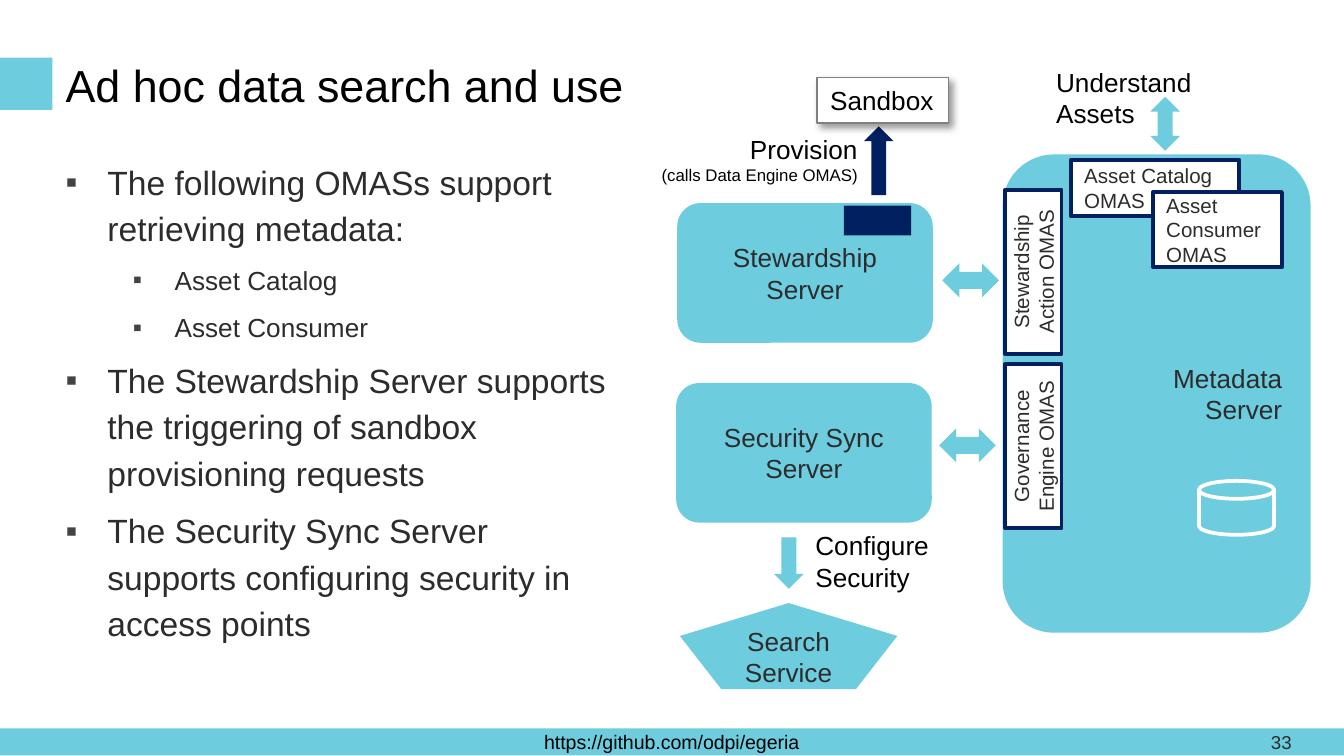
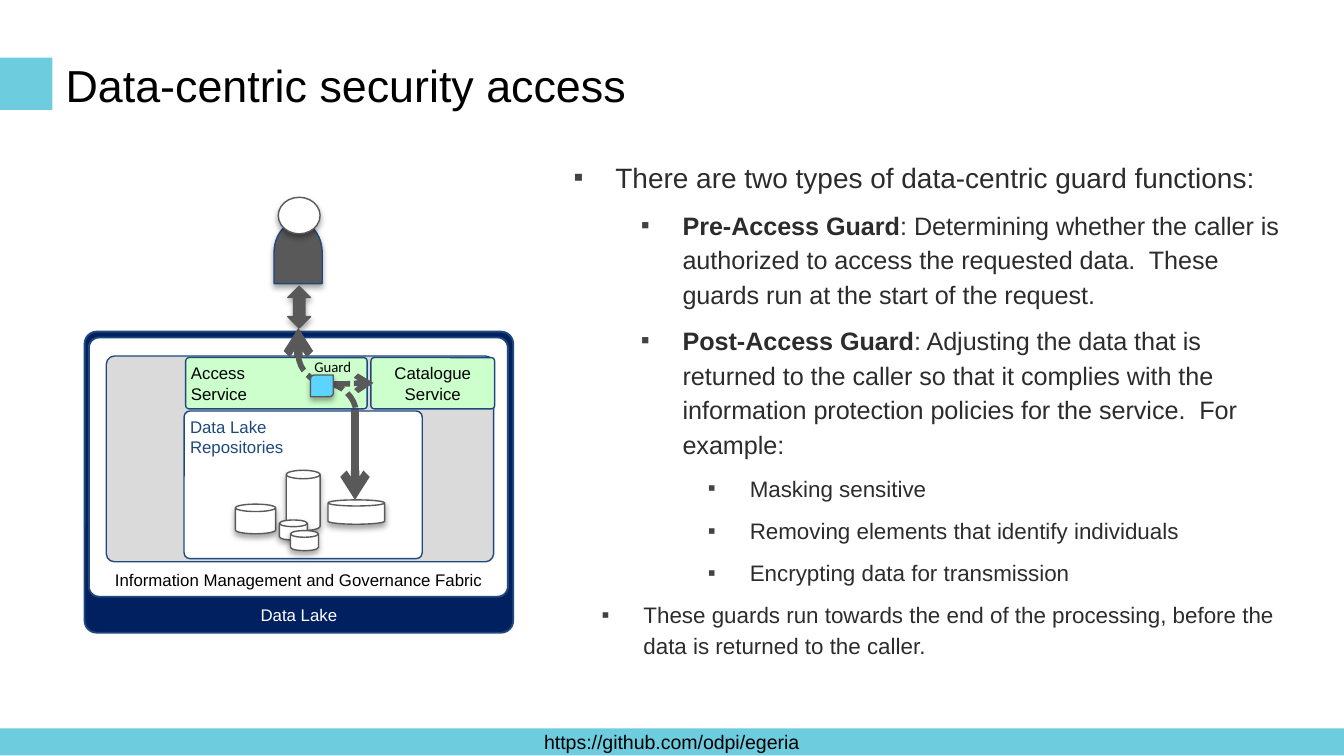
from lxml import etree
from pptx import Presentation
from pptx.dml.color import RGBColor
from pptx.enum.dml import MSO_LINE
from pptx.enum.shapes import MSO_CONNECTOR, MSO_SHAPE
from pptx.enum.text import MSO_ANCHOR, MSO_AUTO_SIZE, PP_ALIGN
from pptx.oxml.ns import qn
from pptx.util import Cm, Pt

LEFT, MID, RIGHT = PP_ALIGN.LEFT, PP_ALIGN.CENTER, PP_ALIGN.RIGHT
TOP, CENTER, BASE = MSO_ANCHOR.TOP, MSO_ANCHOR.MIDDLE, MSO_ANCHOR.BOTTOM
RECT, ROUND = MSO_SHAPE.RECTANGLE, MSO_SHAPE.ROUNDED_RECTANGLE
DISK, CAN = MSO_SHAPE.FLOWCHART_MAGNETIC_DISK, MSO_SHAPE.CAN
OVAL, DELAY = MSO_SHAPE.OVAL, MSO_SHAPE.FLOWCHART_DELAY
PENTA, DIAG = MSO_SHAPE.REGULAR_PENTAGON, MSO_SHAPE.ROUND_2_DIAG_RECTANGLE
SIDES, POLES = MSO_SHAPE.LEFT_RIGHT_ARROW, MSO_SHAPE.UP_DOWN_ARROW
UP, DOWN = MSO_SHAPE.UP_ARROW, MSO_SHAPE.DOWN_ARROW
ELBOW, CURVE = MSO_CONNECTOR.ELBOW, MSO_CONNECTOR.CURVE
DASH = MSO_LINE.SQUARE_DOT
FIXED, GROW = MSO_AUTO_SIZE.NONE, MSO_AUTO_SIZE.SHAPE_TO_FIT_TEXT

FONT = "Arial"
COLORS = {
    "teal": "6DCCDE", "navy": "002060", "white": "FFFFFF", "black": "000000",
    "ink": "2C2C2C", "bullet": "434343", "gray": "595959", "edge": "808080",
    "blue": "1F497D", "green": "CCFFCC", "sky": "5DD4FF",
}
INSET = (0.25, 0.13)
TIGHT = (0.08, 0.08)
SOFT = (35, 3.1, 1.8, 90)
HARD = (40, 4, 3, 45)


def color(name):
    return RGBColor.from_string(COLORS[name])


def add(parent, tag, **attrs):
    node = etree.SubElement(parent, qn(tag))
    for key, value in attrs.items():
        node.set(key, str(value))
    return node


class Deck:
    def __init__(self):
        self.prs = Presentation()
        self.prs.slide_width, self.prs.slide_height = Cm(25.4), Cm(14.29)
        self.slide = None

    def page(self, title):
        self.slide = self.prs.slides.add_slide(self.prs.slide_layouts[1])
        band = self.box(RECT, (0, 13.77, 25.4, 0.51), "teal")
        self.words(band, "https://github.com/odpi/egeria", 10.5, "black")
        self.box(RECT, (0, 1.09, 0.99, 0.99), "teal")
        head = self.slide.shapes.title
        self.place(head, (0.99, 0.79, 23.55, 1.6))
        self.words(head, title, 24, "black", LEFT)

    def place(self, shape, area):
        shape.left, shape.top, shape.width, shape.height = map(Cm, area)

    def words(self, shape, text, size, ink="ink", align=MID, anchor=CENTER,
              pad=INSET, wrap=True, font=FONT):
        frame = shape.text_frame
        frame.text = text
        frame.word_wrap = wrap
        frame.auto_size = FIXED if wrap else GROW
        frame.vertical_anchor = anchor
        frame.margin_left = frame.margin_right = Cm(pad[0])
        frame.margin_top = frame.margin_bottom = Cm(pad[1])
        for para in frame.paragraphs:
            para.alignment = align
            self.style(para, size, ink, font)
        return frame

    def style(self, para, size, ink, font=FONT):
        para.font.name, para.font.size = font, Pt(size)
        para.font.color.rgb = color(ink)

    def label(self, area, text, size, **opts):
        shape = self.slide.shapes.add_textbox(*map(Cm, area))
        return self.words(shape, text, size, **opts)

    def box(self, kind, area, fill, line=None, width=0.75, turn=0, adj=None,
            shade=None, alpha=None):
        shape = self.slide.shapes.add_shape(kind, *map(Cm, area))
        shape.rotation = turn
        if adj is not None:
            shape.adjustments[0] = adj
        shape.fill.solid()
        shape.fill.fore_color.rgb = color(fill)
        if alpha:
            tint = shape.element.spPr.find(qn("a:solidFill"))[0]
            add(tint, "a:alpha", val=alpha * 1000)
        if line:
            shape.line.color.rgb = color(line)
            shape.line.width = Pt(width)
        else:
            shape.line.fill.background()
        shape.shadow.inherit = False
        if shade:
            self.shade(shape, *shade)
        return shape

    def shade(self, shape, alpha, blur, dist, angle):
        effect = shape.element.spPr.find(qn("a:effectLst"))
        outer = add(effect, "a:outerShdw", blurRad=Pt(blur), dist=Pt(dist),
                    dir=angle * 60000, algn="ctr", rotWithShape=0)
        tint = add(outer, "a:srgbClr", val=COLORS["black"])
        add(tint, "a:alpha", val=alpha * 1000)

    def link(self, kind, ends, width, turn=0, adj=None, dash=None, tips=()):
        wire = self.slide.shapes.add_connector(kind, *map(Cm, ends))
        wire.line.color.rgb = color("gray")
        wire.line.width = Pt(width)
        if dash:
            wire.line.dash_style = dash
        props = wire.element.spPr
        for tip in tips:
            add(props.find(qn("a:ln")), tip, type="arrow")
        if turn:
            props.find(qn("a:xfrm")).set("rot", str(turn * 60000))
        if adj:
            guide = props.find(qn("a:prstGeom")).find(qn("a:avLst"))
            add(guide, "a:gd", name="adj1", fmla=f"val {adj}")
        add(props, "a:effectLst")

    def bullets(self, area, items):
        body = self.slide.placeholders[1]
        self.place(body, area)
        frame = body.text_frame
        frame.auto_size, frame.word_wrap = FIXED, True
        frame.vertical_anchor = TOP
        frame.margin_left = frame.margin_right = Cm(0.25)
        frame.margin_top = frame.margin_bottom = Cm(0.25)
        for i, (level, indent, size, lead, text) in enumerate(items):
            para = frame.add_paragraph() if i else frame.paragraphs[0]
            para.level = level
            props = para._p.get_or_add_pPr()
            props.set("marL", str(Cm(indent)))
            props.set("indent", str(Cm(-0.79)))
            add(add(props, "a:buClr"), "a:srgbClr", val=COLORS["bullet"])
            add(props, "a:buFont", typeface=FONT)
            add(props, "a:buChar", char="▪")
            para.alignment, para.line_spacing = LEFT, 1.15
            para.space_before, para.space_after = Pt(0), Pt(6)
            self.style(para, size, "ink")
            if lead:
                run = para.add_run()
                run.text, run.font.bold = lead, True
            para.add_run().text = text

    def save(self):
        self.prs.save("out.pptx")


def search(deck):
    deck.page("Ad hoc data search and use")
    deck.bullets((0.99, 2.69, 11.07, 10.01), [
        (0, 0.79, 18, "", "The following OMASs support retrieving metadata:"),
        (1, 2.06, 14, "", "Asset Catalog"),
        (1, 2.06, 14, "", "Asset Consumer"),
        (0, 0.79, 18, "", "The Stewardship Server supports the triggering of "
                          "sandbox provisioning requests"),
        (0, 0.79, 18, "", "The Security Sync Server supports configuring "
                          "security in access points"),
    ])
    deck.label((23.77, 13.77, 1.52, 0.51), "33", 10, align=LEFT, pad=(0.25, 0))

    meta = deck.box(ROUND, (18.95, 2.92, 5.82, 9.04), "teal")
    deck.words(meta, "Metadata\nServer", 14, align=RIGHT)
    for y, text in ((4.6, "Stewardship Action OMAS"),
                    (7.9, "Governance Engine OMAS")):
        api = deck.box(RECT, (17.98, y, 3.1, 1.07), "white", "navy", 2, 270)
        deck.words(api, text, 11)
    deck.box(DISK, (22.66, 9.09, 1.42, 1.02), "teal", "white", 2)

    for x, y, text in ((12.8, 3.84, "Stewardship\nServer"),
                       (12.78, 7.24, "Security Sync Server")):
        deck.words(deck.box(ROUND, (x, y, 4.83, 2.64), "teal"), text, 14)
    for x, y in ((17.81, 4.98), (17.75, 8.1)):
        deck.box(SIDES, (x, y, 1.07, 0.64), "teal")

    for area, text in (((20.24, 3.02, 3.18, 1.07), "Asset Catalog OMAS"),
                       ((21.79, 3.63, 2.44, 1.42), "Asset Consumer OMAS")):
        api = deck.box(RECT, area, "white", "navy", 2)
        deck.words(api, text, 11, align=LEFT)
    deck.box(POLES, (21.74, 1.83, 0.56, 1.02), "teal")
    deck.box(RECT, (15.95, 3.89, 1.27, 0.56), "navy")
    deck.box(UP, (16.33, 2.39, 0.56, 1.3), "navy")

    for area, text in (((19.71, 1.12, 3.78, 1.45), "Understand Assets"),
                       ((15.16, 9.88, 2.74, 1.45), "Configure Security")):
        deck.label(area, text, 14, ink="black", align=LEFT, anchor=TOP)
    note = deck.label((12.22, 2.39, 4.24, 1.24),
                      "Provision\n(calls Data Engine OMAS)", 14, ink="black",
                      align=RIGHT, anchor=TOP, wrap=False)
    note.paragraphs[1].font.size = Pt(9)

    goal = deck.box(PENTA, (12.85, 11.4, 4.11, 1.63), "teal")
    deck.words(goal, "Search Service", 14)
    deck.box(DOWN, (14.63, 10.16, 0.56, 0.97), "teal")
    sand = deck.box(RECT, (15.44, 1.47, 2.49, 0.86), "white", "edge",
                    shade=HARD)
    deck.words(sand, "Sandbox", 14, "black", LEFT, TOP, wrap=False)


def access(deck):
    deck.page("Data-centric security access")
    deck.bullets((10.59, 2.69, 13.94, 10.01), [
        (0, 0.79, 15, "",
         "There are two types of data-centric guard functions:"),
        (1, 2.06, 13.5, "Pre-Access Guard",
         ": Determining whether the caller is authorized to access the "
         "requested data.  These guards run at the start of the request."),
        (1, 2.06, 13.5, "Post-Access Guard",
         ": Adjusting the data that is returned to the caller so that it "
         "complies with the information protection policies for the "
         "service.  For example:"),
        (2, 3.33, 12, "", "Masking sensitive"),
        (2, 3.33, 12, "", "Removing elements that identify individuals"),
        (2, 3.33, 12, "", "Encrypting data for transmission"),
        (2, 1.32, 12, "", "These guards run towards the end of the "
                          "processing, before the data is returned to the "
                          "caller."),
    ])
    deck.box(DELAY, (5.05, 4.32, 1.17, 0.91), "gray", "blue", turn=270,
             shade=SOFT)
    deck.box(OVAL, (5.26, 3.73, 0.79, 0.69), "white", "gray", shade=SOFT)

    lake = deck.box(ROUND, (1.6, 6.27, 8.1, 5.69), "navy", "blue", 1,
                    adj=0.04)
    deck.words(lake, "Data Lake", 9, "white", anchor=BASE, pad=TIGHT)
    web = deck.box(ROUND, (1.68, 6.38, 7.92, 4.9), "white", "blue", 1,
                   adj=0.04)
    deck.words(web, "Information Management and Governance Fabric", 9,
               "black", anchor=BASE, pad=TIGHT)
    deck.box(ROUND, (2.01, 6.73, 7.32, 3.89), "gray", "blue", adj=0.04,
             alpha=22)
    repo = deck.box(ROUND, (3.48, 7.77, 4.5, 2.79), "white", "blue", adj=0.04)
    deck.words(repo, "Data Lake\nRepositories", 9, "blue", LEFT, TOP, TIGHT)

    for kind, area in ((CAN, (4.45, 9.53, 0.76, 0.56)),
                       (CAN, (5.41, 8.89, 0.64, 1.14)),
                       (CAN, (6.2, 9.45, 1.07, 0.46)),
                       (DISK, (5.28, 9.83, 0.53, 0.38)),
                       (DISK, (5.49, 10.03, 0.53, 0.38))):
        deck.box(kind, area, "white", "gray", shade=SOFT)
    deck.box(POLES, (5.44, 5.41, 0.43, 0.79), "gray", "gray", shade=SOFT)
    deck.link(ELBOW, (7.8, 7.29, 4.55, 8.36), 4.5, 270, 34700,
              tips=("a:headEnd", "a:tailEnd"))

    for x, width, text, align in ((3.51, 3.43, "Access\nService", LEFT),
                                  (7.01, 2.34, "Catalogue\nService", MID)):
        part = deck.box(ROUND, (x, 6.76, width, 0.97), "green", "blue",
                        adj=0.07)
        deck.words(part, text, 9, "black", align, pad=TIGHT)
    deck.link(CURVE, (6.73, 6.71, 5.64, 7.8), 3, 270, dash=DASH)
    deck.link(CURVE, (6.3, 7.26, 7.06, 7.24), 3, dash=DASH,
              tips=("a:tailEnd",))
    deck.box(DIAG, (5.87, 7.09, 0.43, 0.41), "sky", "gray", shade=SOFT)
    deck.label((5.69, 6.63, 1.22, 0.58), "Guard", 7.9, ink="black",
               align=LEFT, anchor=TOP, wrap=False, font="Calibri")


def main():
    deck = Deck()
    search(deck)
    access(deck)
    deck.save()


if __name__ == "__main__":
    main()
